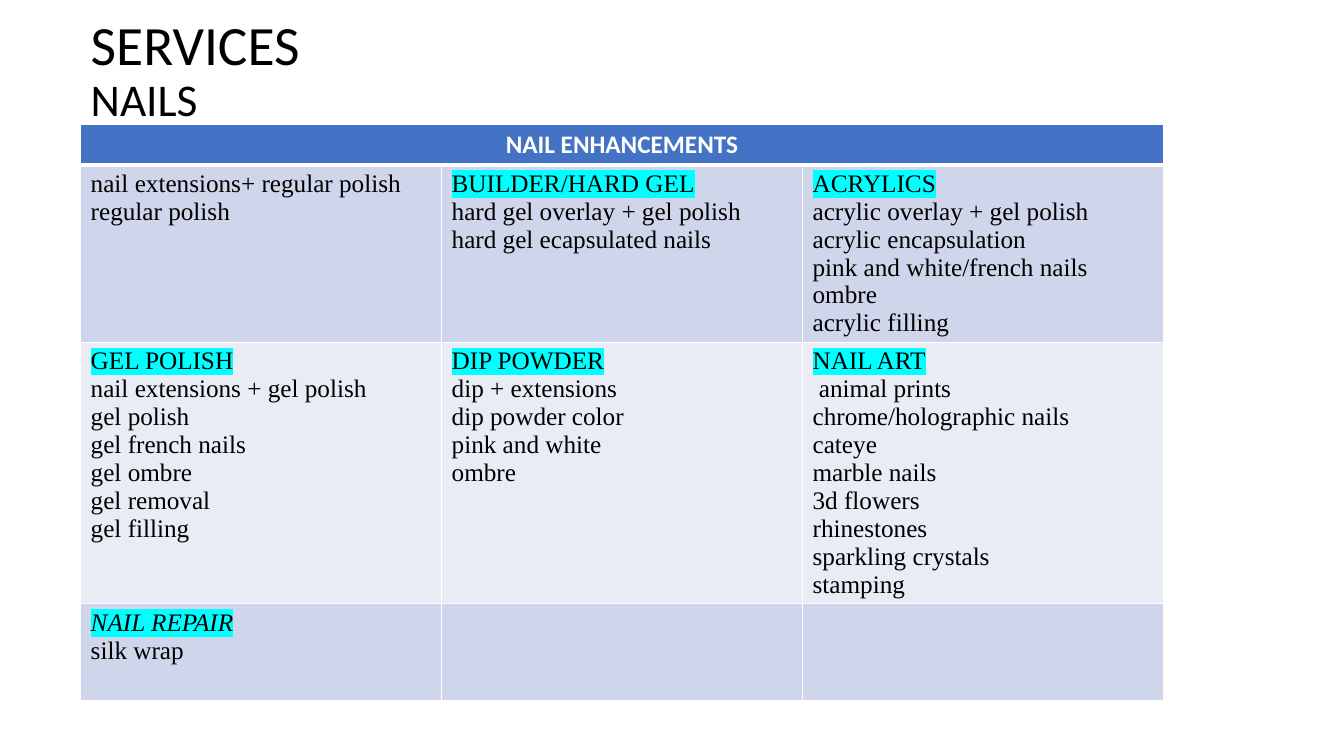
from lxml.etree import SubElement
from pptx import Presentation
from pptx.dml.color import RGBColor
from pptx.enum.text import MSO_ANCHOR, MSO_AUTO_SIZE, PP_ALIGN
from pptx.oxml.ns import qn
from pptx.util import Inches, Pt

BLACK = RGBColor(0x00, 0x00, 0x00)
WHITE = RGBColor(0xFF, 0xFF, 0xFF)
HEADER_BLUE = RGBColor(0x44, 0x72, 0xC4)
BAND_DARK = RGBColor(0xCF, 0xD5, 0xEA)
BAND_LIGHT = RGBColor(0xE9, 0xEB, 0xF5)
CYAN = RGBColor(0x00, 0xFF, 0xFF)

LEFT = Inches(0.8)
COLUMN_WIDTH = Inches(3.58)
ROW_HEIGHTS = [0.39, 1.76, 2.59, 0.96]
HEADER = "NAIL ENHANCEMENTS"
SERVICES = [
    [
        ["nail extensions+ regular polish", "regular polish"],
        ["BUILDER/HARD GEL", "hard gel overlay + gel polish", "hard gel ecapsulated nails"],
        ["ACRYLICS", "acrylic overlay + gel polish", "acrylic encapsulation",
         "pink and white/french nails", "ombre", "acrylic filling"],
    ],
    [
        ["GEL POLISH", "nail extensions + gel polish", "gel polish", "gel french nails",
         "gel ombre", "gel removal", "gel filling"],
        ["DIP POWDER", "dip + extensions", "dip powder color", "pink and white", "ombre"],
        ["NAIL ART", " animal prints", "chrome/holographic nails", "cateye", "marble nails",
         "3d flowers", "rhinestones", "sparkling crystals", "stamping"],
    ],
    [["NAIL REPAIR", "silk wrap"], [], []],
]


def format_span(span, font_name, size, color, bold=False):
    """Set the font, size, colour and weight of a run."""
    span.font.size = Pt(size)
    span.font.bold = bold
    span.font.color.rgb = color
    span.font.name = font_name


def highlight(span):
    """Put a cyan marker behind a run."""
    properties = span._r.get_or_add_rPr()
    marker = SubElement(properties, qn("a:highlight"))
    SubElement(marker, qn("a:srgbClr"), val=str(CYAN))
    properties.find(qn("a:solidFill")).addnext(marker)


def style_cell(cell, row, fill_color):
    """Give a cell white borders and a solid fill."""
    properties = cell._tc.get_or_add_tcPr()
    for edge in "LRTB":
        under_header = (row, edge) in ((0, "B"), (1, "T"))
        line = SubElement(properties, qn(f"a:ln{edge}"), w=str(Pt(3 if under_header else 1)))
        SubElement(SubElement(line, qn("a:solidFill")), qn("a:srgbClr"), val=str(WHITE))
    cell.fill.solid()
    cell.fill.fore_color.rgb = fill_color


def write_services(cell, lines):
    """Write one service per paragraph, marking the capitalised heading."""
    cell.text_frame.text = "\n".join(lines)
    for para in cell.text_frame.paragraphs:
        for span in para.runs:
            format_span(span, "Times New Roman", 18, BLACK)
            if span.text.isupper():
                highlight(span)
            span.font.italic = span.text == "NAIL REPAIR"


def add_title(page):
    """Place the two-line title in the title placeholder."""
    title = page.shapes.title
    title.left, title.top = LEFT, Inches(0.31)
    title.width, title.height = Inches(11.5), Inches(0.8)
    frame = title.text_frame
    frame.text = "SERVICES\vNAILS"
    frame.word_wrap = True
    frame.auto_size = MSO_AUTO_SIZE.NONE
    frame.vertical_anchor = MSO_ANCHOR.MIDDLE
    para = frame.paragraphs[0]
    para.alignment = PP_ALIGN.LEFT
    para.line_spacing = 0.9
    for span, size in zip(para.runs, (39.6, 32.4)):
        format_span(span, "Calibri", size, BLACK)


def add_service_table(page):
    """Build the table of services under a merged header."""
    column_count = len(SERVICES[0])
    table = page.shapes.add_table(
        len(ROW_HEIGHTS), column_count, LEFT, Inches(1.23),
        COLUMN_WIDTH * column_count, Inches(sum(ROW_HEIGHTS))).table
    for column in table.columns:
        column.width = COLUMN_WIDTH
    for row, height in enumerate(ROW_HEIGHTS):
        table.rows[row].height = Inches(height)
        band = BAND_DARK if row % 2 else BAND_LIGHT
        for column in range(column_count):
            cell = table.cell(row, column)
            style_cell(cell, row, band if row else HEADER_BLUE)
            if row:
                write_services(cell, SERVICES[row - 1][column])
    header = table.cell(0, 0)
    header.merge(table.cell(0, column_count - 1))
    header.text_frame.text = HEADER
    para = header.text_frame.paragraphs[0]
    para.alignment = PP_ALIGN.CENTER
    format_span(para.runs[0], "Calibri", 18, WHITE, bold=True)


def main():
    """Create the deck with its single services page."""
    deck = Presentation()
    deck.slide_width, deck.slide_height = Inches(13.33), Inches(7.5)
    page = deck.slides.add_slide(deck.slide_layouts[5])
    add_title(page)
    add_service_table(page)
    deck.save("out.pptx")


if __name__ == "__main__":
    main()
